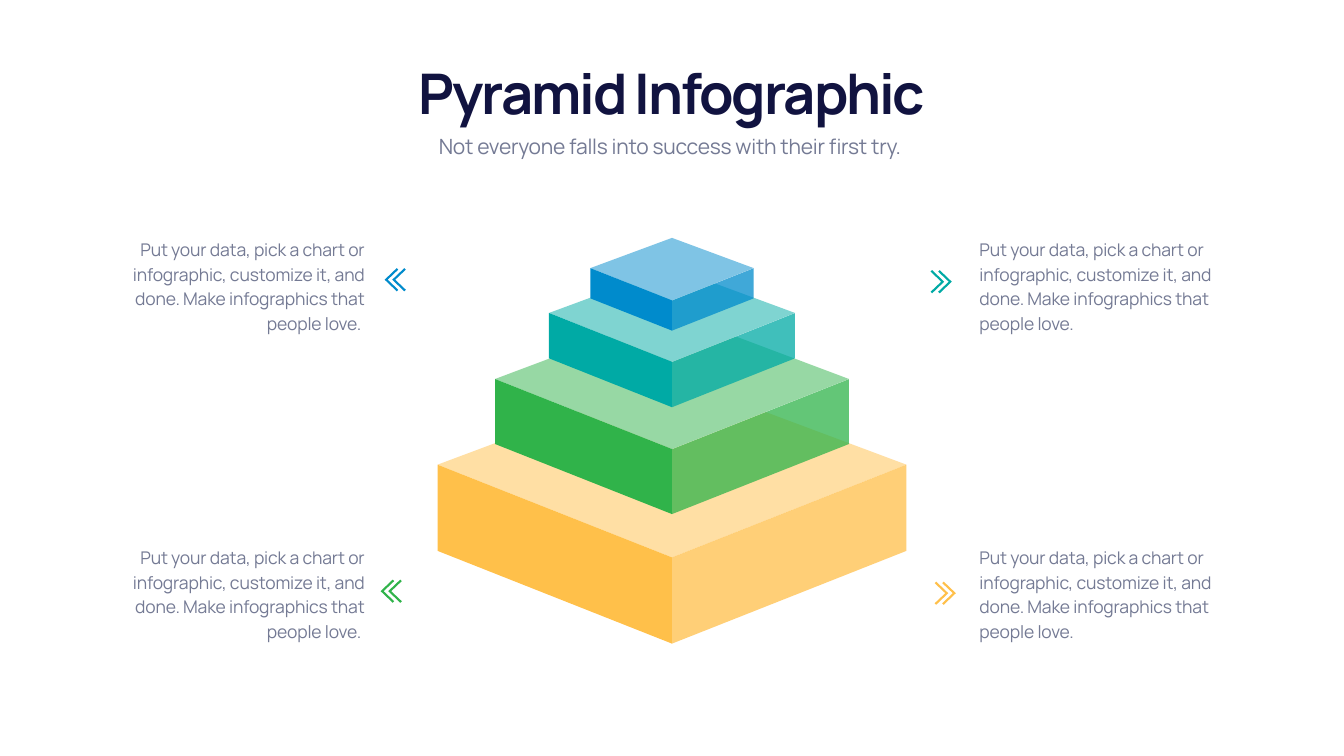
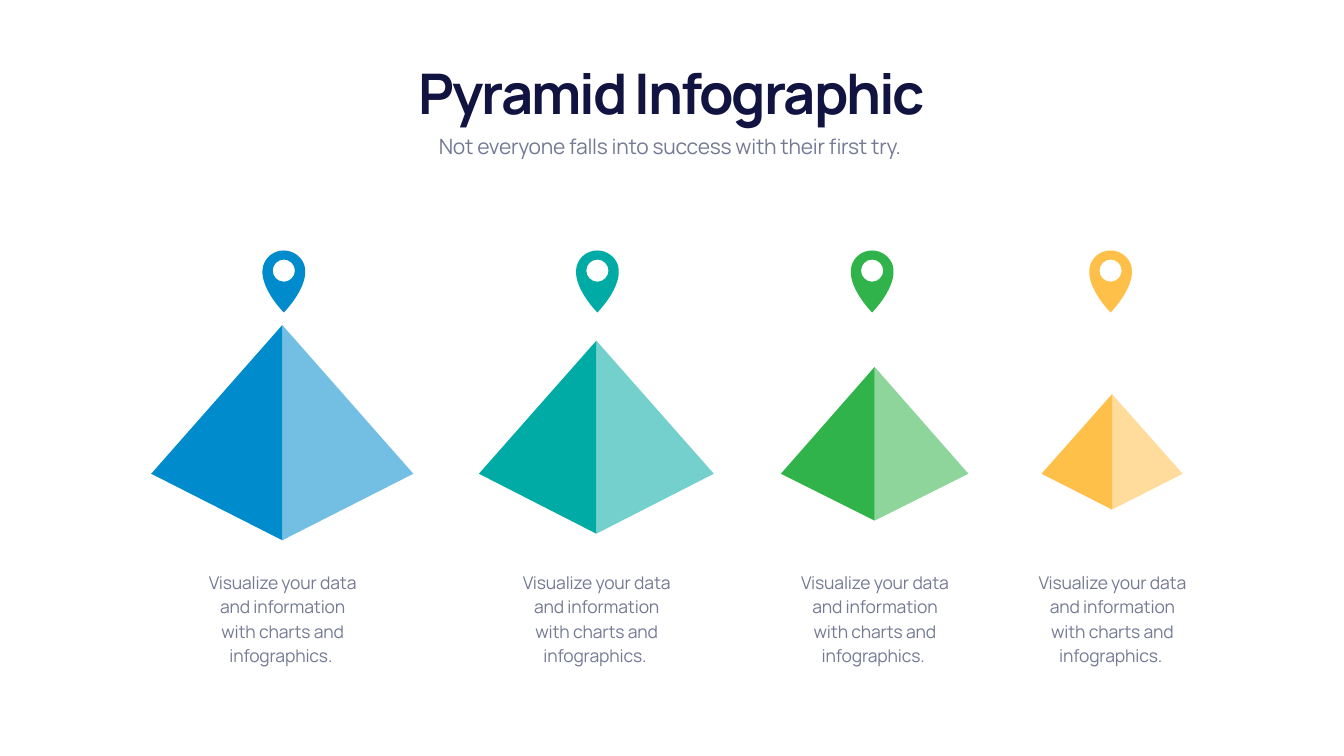
from lxml import etree
from pptx import Presentation
from pptx.dml.color import RGBColor
from pptx.enum.text import MSO_ANCHOR, MSO_AUTO_SIZE, PP_ALIGN
from pptx.oxml.ns import qn
from pptx.util import Inches, Pt

LEFT, CENTER, RIGHT = PP_ALIGN.LEFT, PP_ALIGN.CENTER, PP_ALIGN.RIGHT
TOP, BOTTOM = MSO_ANCHOR.TOP, MSO_ANCHOR.BOTTOM
GROW = MSO_AUTO_SIZE.SHAPE_TO_FIT_TEXT

# Content
TITLE = "Pyramid Infographic"
SUBTITLE = "Not everyone falls into success with their first try. "
NOTE = ("Put your data, pick a chart or infographic, customize it, and done. "
        "Make infographics that people love.")
CAPTION = "Visualize your data and information with charts and infographics. "

COLORS = {"navy": "111340", "gray": "747A94", "white": "FFFFFF", "blue": "008BCC",
          "teal": "00AAA5", "green": "30B34A", "yellow": "FFC04A"}

# Text styles: font values, letter spacing and line spacing in points
STYLES = {
    "title": {"font": {"size": Pt(80), "bold": True}, "color": "navy",
              "spacing": -3, "line": 94},
    "subtitle": {"font": {"size": Pt(30), "bold": False}, "color": "gray",
                 "spacing": -0.3, "line": 38.4},
    "body": {"font": {"size": Pt(25), "bold": False}, "color": "gray",
             "spacing": -0.2, "line": 35},
}

# Stacked tiers, bottom first: color, half width, back y, side y, front y, height
STACK_X = 13.33
TIERS = [
    ("yellow", 4.65, 7.48, 9.22, 11.06, 1.71),
    ("green", 3.51, 6.2, 7.52, 8.91, 1.29),
    ("teal", 2.44, 5.31, 6.21, 7.18, 0.9),
    ("blue", 1.62, 4.72, 5.32, 5.96, 0.6),
]

# Notes: left, top, alignment, trailing text
NOTES = [
    (2.35, 4.63, RIGHT, " "),
    (19.33, 4.63, LEFT, ""),
    (2.35, 10.74, RIGHT, " "),
    (19.33, 10.74, LEFT, ""),
]

# Chevrons: color, outer tip x, middle y, direction of the arms
CHEVRONS = [
    ("blue", 7.63, 5.55, 1),
    ("green", 7.55, 11.73, 1),
    ("teal", 18.88, 5.59, -1),
    ("yellow", 18.96, 11.77, -1),
]
CHEVRON_ARM = [(0.24, -0.23), (0, 0), (0.24, 0.23), (0.27, 0.2), (0.06, 0), (0.27, -0.2)]
CHEVRON_STEP = 0.15

# Pyramids: color, center x, apex y, half width, base y, pin x
PYRAMIDS = [
    ("blue", 5.6, 6.45, 2.6, 10.72, 5.63),
    ("teal", 11.83, 6.76, 2.33, 10.59, 11.85),
    ("green", 17.35, 7.28, 1.86, 10.33, 17.3),
    ("yellow", 22.06, 7.82, 1.4, 10.11, 22.03),
]
SIDE_Y, PIN_Y = 9.4, 6.2

# Pin outline as a start point and cubic control points around its tip
PIN_BODY = [(0.41, -0.93), (0.36, -1.1), (0.19, -1.23), (0, -1.23),
            (-0.2, -1.23), (-0.36, -1.1), (-0.41, -0.92),
            (-0.51, -0.53), (-0.04, -0.04), (0, 0), (0, 0), (0.52, -0.52), (0.41, -0.93)]
PIN_HOLE = [(-0.22, -0.83), (-0.22, -0.95), (-0.12, -1.05), (0, -1.05),
            (0.12, -1.05), (0.22, -0.95), (0.22, -0.83),
            (0.22, -0.71), (0.12, -0.61), (0, -0.61),
            (-0.12, -0.61), (-0.22, -0.71), (-0.22, -0.83)]


def move(points, x, y, direction=1):
    return [(x + direction * dx, y + dy) for dx, dy in points]


def outline(s, color, *contours, alpha=100):
    """Draw closed contours, in inches, as one filled freeform."""
    fb = None
    for contour in contours:
        pts = [(Inches(x), Inches(y)) for x, y in contour]
        if fb is None:
            fb = s.shapes.build_freeform(*pts[0], scale=1.0)
        else:
            fb.move_to(*pts[0])
        fb.add_line_segments(pts[1:], close=True)
    sp = fb.convert_to_shape()
    sp.shadow.inherit = False
    sp.line.fill.background()
    sp.fill.solid()
    sp.fill.fore_color.rgb = RGBColor.from_string(COLORS[color])
    if alpha < 100:
        clr = sp._element.spPr.find(".//" + qn("a:srgbClr"))
        etree.SubElement(clr, qn("a:alpha")).set("val", str(alpha * 1000))
    return sp


def curve(sp):
    """Turn every three straight segments into one cubic curve."""
    lines = sp._element.findall(".//" + qn("a:lnTo"))
    for i in range(0, len(lines), 3):
        cubic = etree.Element(qn("a:cubicBezTo"))
        lines[i].addprevious(cubic)
        for line in lines[i:i + 3]:
            cubic.append(line[0])
            line.getparent().remove(line)


def write(sp, text, style, box, align=CENTER, anchor=TOP, wrap=True):
    fmt = STYLES[style]
    for name, value in zip(("left", "top", "width", "height"), box):
        setattr(sp, name, Inches(value))
    tf = sp.text_frame
    for name, value in {"word_wrap": wrap, "auto_size": GROW,
                        "vertical_anchor": anchor}.items():
        setattr(tf, name, value)
    p = tf.paragraphs[0]
    for name, value in {"alignment": align, "line_spacing": Pt(fmt["line"]),
                        "space_before": Pt(0)}.items():
        setattr(p, name, value)
    r = p.add_run()
    r.text = text
    for name, value in {"name": "Manrope", **fmt["font"]}.items():
        setattr(r.font, name, value)
    r.font.color.rgb = RGBColor.from_string(COLORS[fmt["color"]])
    r.font._element.set("spc", str(round(fmt["spacing"] * 100)))


def add_text(s, text, box, align=CENTER):
    sp = s.shapes.add_textbox(0, 0, 0, 0)
    write(sp, text, "body", box, align)


def new_slide(prs):
    s = prs.slides.add_slide(prs.slide_layouts[0])
    write(s.shapes.title, TITLE, "title", (8.16, 1.12, 10.34, 1.42),
          anchor=BOTTOM, wrap=False)
    write(s.placeholders[1], SUBTITLE, "subtitle", (8.56, 2.57, 9.54, 0.6))
    return s


def stacked_slide(prs):
    s = new_slide(prs)
    # Tiers: a pale top, a solid left face and a lighter right face
    for i, (color, half, back, side, front, height) in enumerate(TIERS):
        top = [(0, back), (-half, side), (0, front), (half, side)]
        face = [(-half, side), (-half, side + height), (0, front + height), (0, front)]
        top = move(top, STACK_X, 0)
        outline(s, color, move(face, STACK_X, 0, -1), alpha=75)
        if i:
            outline(s, "white", top)
        outline(s, color, top, alpha=50)
        outline(s, color, move(face, STACK_X, 0))
    # Double chevrons
    for color, x, y, direction in CHEVRONS:
        outline(s, color, *[move(CHEVRON_ARM, x + direction * step, y, direction)
                            for step in (CHEVRON_STEP, 0)])
    # Notes
    for left, top, align, tail in NOTES:
        add_text(s, NOTE + tail, (left, top, 4.98, 2.03), align)


def row_slide(prs):
    s = new_slide(prs)
    for color, x, apex, half, base, pin_x in PYRAMIDS:
        # Pyramid halves
        face = [(0, apex), (-half, SIDE_Y), (0, base)]
        outline(s, color, move(face, x, 0))
        outline(s, color, move(face, x, 0, -1), alpha=55)
        # Pin and caption
        curve(outline(s, color, move(PIN_HOLE, pin_x, PIN_Y), move(PIN_BODY, pin_x, PIN_Y)))
        add_text(s, CAPTION, (x - 1.65, 11.23, 3.31, 2.03))


def main():
    prs = Presentation()
    prs.slide_width, prs.slide_height = Inches(26.66), Inches(15)
    stacked_slide(prs)
    row_slide(prs)
    prs.save("out.pptx")


if __name__ == "__main__":
    main()
